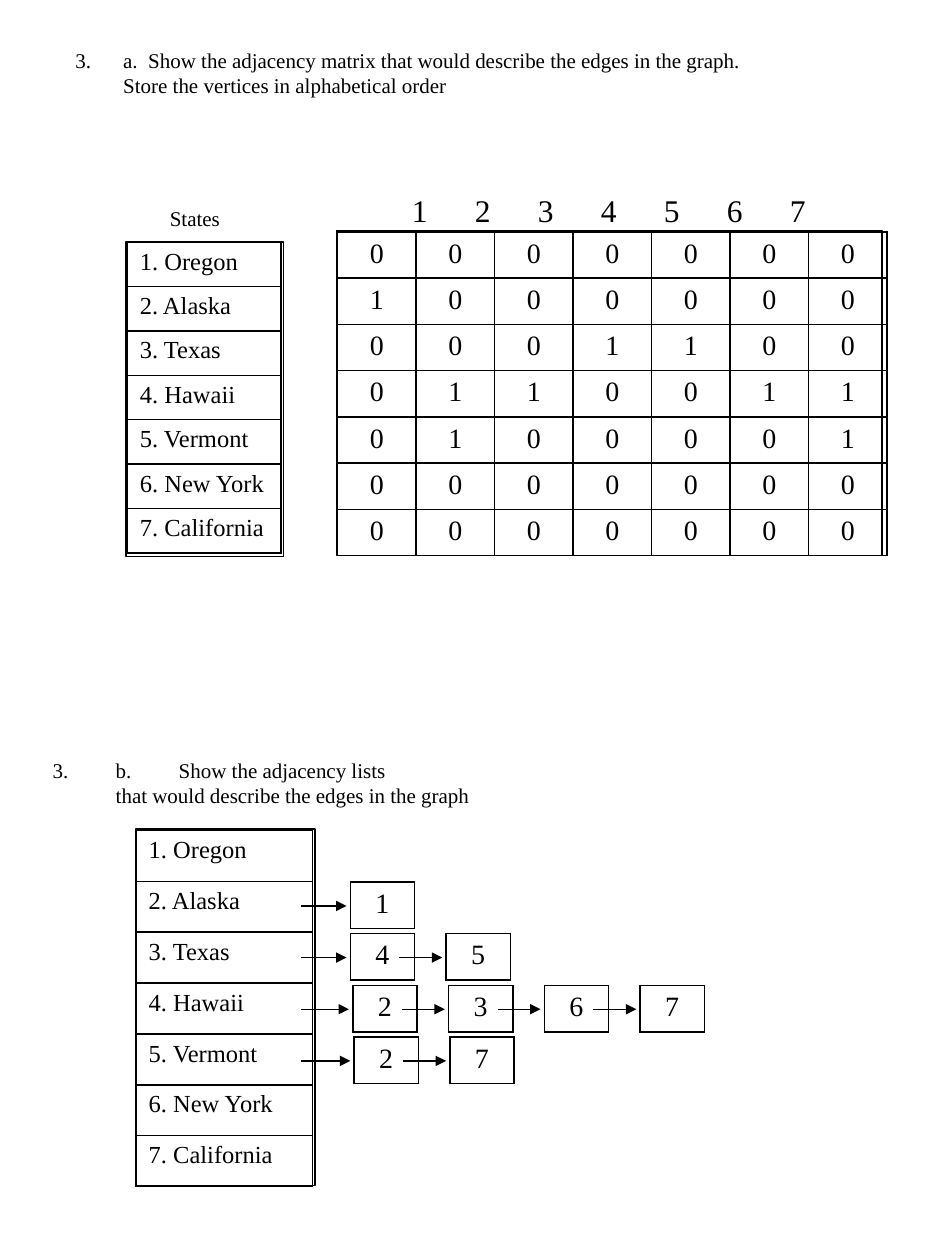
from dataclasses import dataclass

from pptx import Presentation
from pptx import oxml, util as u
from pptx.dml.color import RGBColor
from pptx.enum import shapes, text
from pptx.oxml.ns import nsdecls


@dataclass(frozen=True)
class Theme:
    ink: RGBColor = RGBColor(0, 0, 0)
    font: str = "Times New Roman"
    body: int = 12
    state: int = 14
    digit: int = 16
    heading: int = 18
    line: float = 0.75
    border: int = 12700


theme = Theme()
states = ["Oregon", "Alaska", "Texas", "Hawaii", "Vermont", "New York", "California"]
edges = {2: [1], 3: [4, 5], 4: [2, 3, 6, 7], 5: [2, 7]}
numbers = range(1, len(states) + 1)
state_rows = [[f"{n}. {name}"] for n, name in zip(numbers, states)]
matrix = [[str(int(c in edges.get(r, []))) for c in numbers] for r in numbers]

prs = Presentation()
prs.slide_width, prs.slide_height = u.Inches(7.5), u.Inches(10)
s = prs.slides.add_slide(prs.slide_layouts[6])


def write_run(p, words, size):
    """Add one run in the theme font and colour."""
    r = p.add_run()
    r.text = words
    r.font.name, r.font.size = theme.font, u.Pt(size)
    r.font.color.rgb = theme.ink


def add_grid(left, top, width, height, rows, size, align):
    """Add an unfilled table with evenly sized, fully bordered cells."""
    tbl = s.shapes.add_table(len(rows), len(rows[0]), u.Inches(left), u.Inches(top),
                             u.Inches(width), u.Inches(height)).table
    tbl.first_row = tbl.horz_banding = False
    for i, row in enumerate(rows):
        for j, words in enumerate(row):
            cell = tbl.cell(i, j)
            p = cell.text_frame.paragraphs[0]
            p.alignment = align
            write_run(p, words, size)
            tc_pr = cell._tc.get_or_add_tcPr()
            for side in ("lnL", "lnR", "lnT", "lnB"):
                tc_pr.append(oxml.parse_xml(
                    f'<a:{side} {nsdecls("a")} w="{theme.border}"><a:solidFill>'
                    f'<a:srgbClr val="{theme.ink}"/></a:solidFill></a:{side}>'))
            cell.fill.background()


# Frames behind the tables
for box in [(1.08, 6.58, 1.42, 2.83), (1, 1.92, 1.25, 2.5), (2.67, 1.83, 4.33, 2.58)]:
    sp = s.shapes.add_shape(shapes.MSO_SHAPE.RECTANGLE, *map(u.Inches, box))
    sp.shadow.inherit = False
    sp.fill.background()
    sp.line.color.rgb, sp.line.width = theme.ink, u.Pt(theme.line)

# Text boxes: place, wrap, size, (left margin, indent), tab stops, tab kind, lines
column_tabs = [0.2 + 0.62 * k for k in range(len(states))]
captions = [
    ((0.5, 0.33, 5.83, 0.5), True, theme.body, (0.38, -0.38), [0.25], "l",
     ["a.  Show the adjacency matrix that would describe the edges in the graph. "
      "Store the vertices in alphabetical order"]),
    ((1.25, 1.58, 0.6, 0.3), False, theme.body, (0, 0), [], "l", ["States"]),
    ((2.67, 1.47, 4.33, 0.4), True, theme.heading, (0, 0), column_tabs, "ctr",
     ["".join(f"\t{n}" for n in numbers)]),
    ((0.32, 5.96, 3.52, 0.5), False, theme.body, (0.5, -0.5), [0.25, 0.5], "l",
     ["3.\tb.\tShow the adjacency lists",
      "that would describe the edges in the graph"]),
]
for box, wrap, size, (margin, indent), tabs, kind, lines in captions:
    tf = s.shapes.add_textbox(*map(u.Inches, box)).text_frame
    tf.word_wrap = wrap
    tf.auto_size = text.MSO_AUTO_SIZE.SHAPE_TO_FIT_TEXT
    for i, words in enumerate(lines):
        p = tf.add_paragraph() if i else tf.paragraphs[0]
        p_pr = p._p.get_or_add_pPr()
        p_pr.set("marL", str(u.Inches(margin)))
        p_pr.set("indent", str(0 if i else u.Inches(indent)))
        if words.startswith("a."):
            p_pr.append(oxml.parse_xml(
                f'<a:buAutoNum {nsdecls("a")} type="arabicPeriod" startAt="3"/>'))
        if tabs:
            stops = "".join(f'<a:tab pos="{u.Inches(t)}" algn="{kind}"/>' for t in tabs)
            p_pr.append(oxml.parse_xml(
                f'<a:tabLst {nsdecls("a")}>{stops}</a:tabLst>'))
        write_run(p, words, size)

# State lists and adjacency matrix
left, center = text.PP_ALIGN.LEFT, text.PP_ALIGN.CENTER
add_grid(1.01, 1.92, 1.22, 2.47, state_rows, theme.state, left)
add_grid(2.68, 1.84, 4.36, 2.57, matrix, theme.digit, center)
add_grid(1.08, 6.59, 1.4, 2.83, state_rows, theme.state, left)

# Adjacency lists: each node has an arrow from the one before it
list_lefts = [2.78, 2.78, 2.8, 2.81]
for i, (targets, start) in enumerate(zip(edges.values(), list_lefts)):
    top = 7 + 0.41 * i
    for k, target in enumerate(targets):
        x = start + 0.76 * k
        add_grid(x, top, 0.51, 0.37, [[str(target)]], theme.digit, center)
        tail_x = x - 0.37 if k else 2.39
        y = u.Inches(top + 0.19)
        arrow = s.shapes.add_connector(shapes.MSO_CONNECTOR.STRAIGHT,
                                       u.Inches(tail_x), y, u.Inches(x - 0.03), y)
        arrow.line.color.rgb, arrow.line.width = theme.ink, u.Pt(theme.line)
        arrow.line._get_or_add_ln().append(
            oxml.parse_xml(f'<a:tailEnd {nsdecls("a")} type="triangle"/>'))
        arrow._element.spPr.append(oxml.parse_xml(f'<a:effectLst {nsdecls("a")}/>'))

prs.save("out.pptx")
